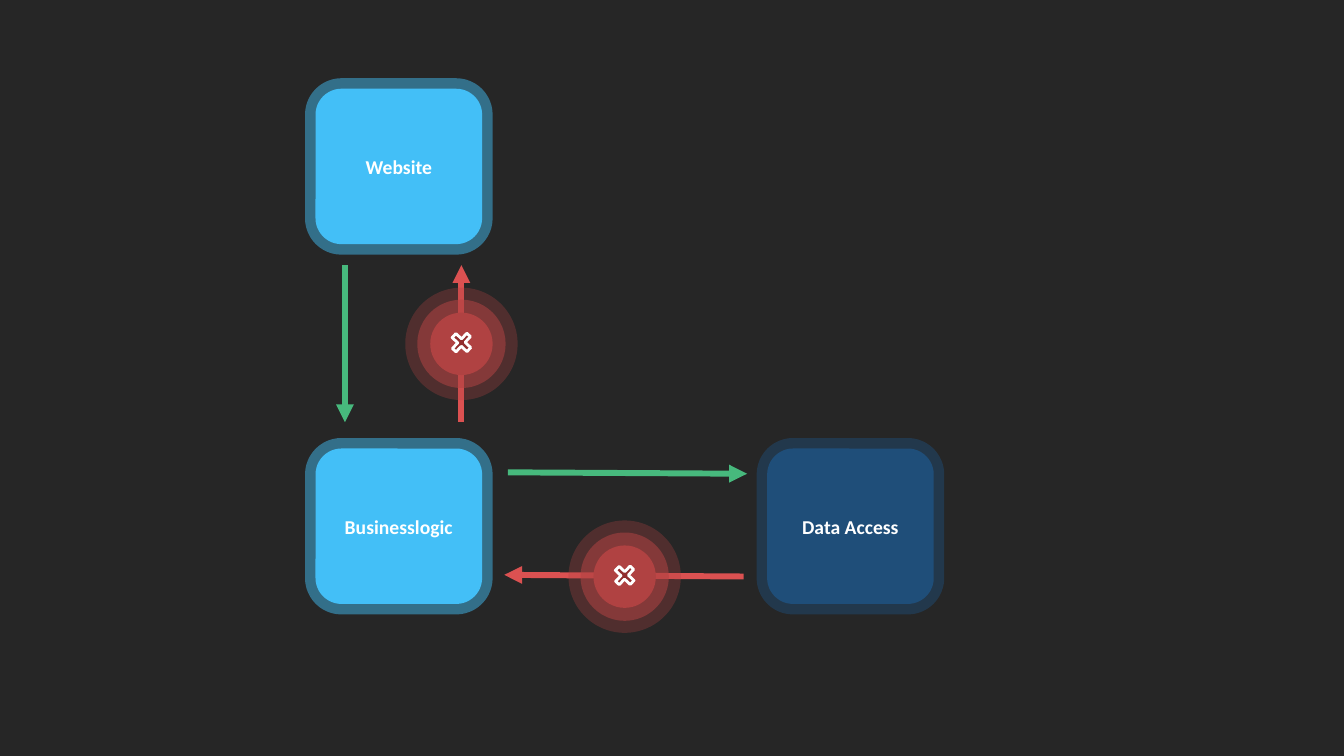
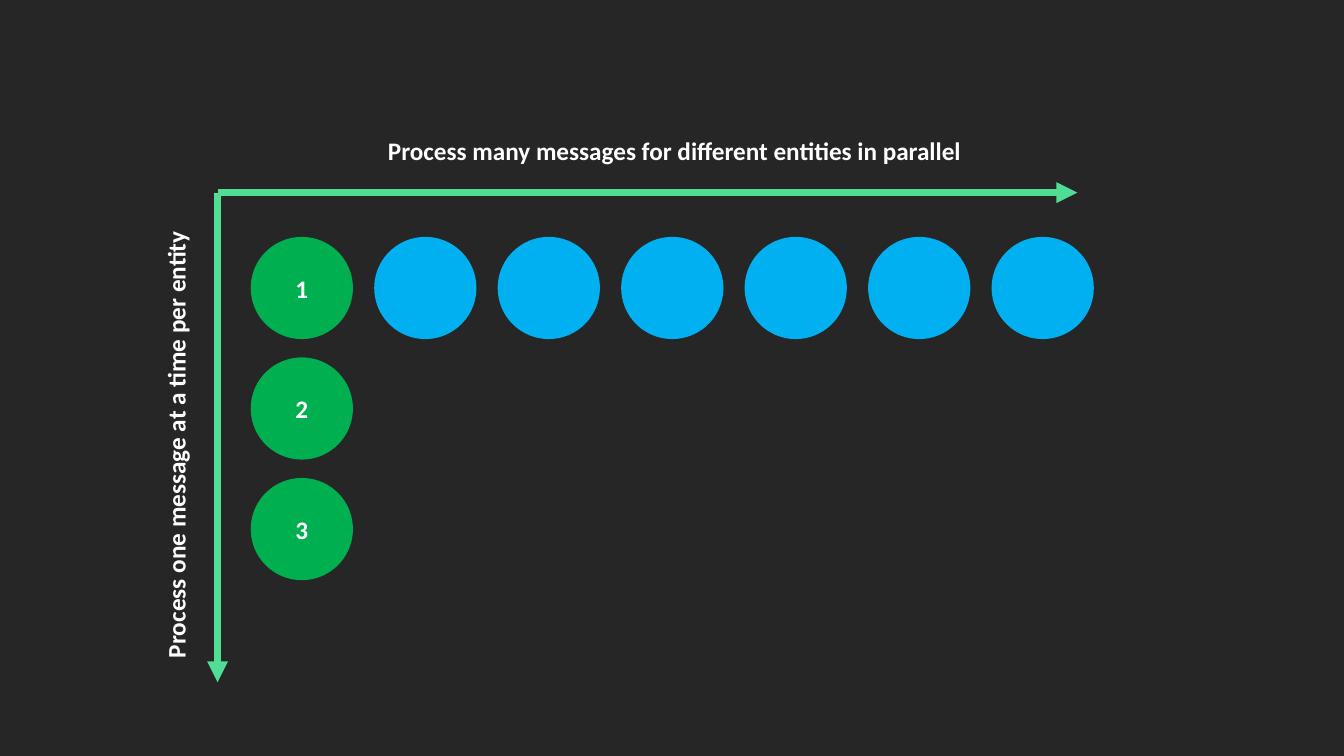
from lxml import etree
from pptx import Presentation
from pptx.dml.color import RGBColor
from pptx.enum import shapes, text
from pptx.oxml import ns
from pptx.util import Pt

COLORS = {
    "background": "262626",
    "text": "FFFFFF",
    "layer": "43BFF7",
    "data": "1F4E79",
    "allowed": "47B97D",
    "forbidden": "DB5151",
    "stop": "B04242",
    "cross": "922E2E",
    "axis": "50DE94",
    "sequential": "00B050",
    "parallel": "00B0F0",
}
FONT = "Calibri"
SHAPE = shapes.MSO_SHAPE


def color(name):
    return RGBColor.from_string(COLORS[name])


# Shared elements
def add_page(deck):
    page = deck.slides.add_slide(deck.slide_layouts[6])
    page.background.fill.solid()
    page.background.fill.fore_color.rgb = color("background")
    return page


def set_line(shape, name, width, opacity=100):
    shape.line.color.rgb = color(name)
    shape.line.width = Pt(width)
    if opacity < 100:
        tone = shape.element.spPr.find(ns.qn("a:ln")).find(".//" + ns.qn("a:srgbClr"))
        etree.SubElement(tone, ns.qn("a:alpha"), val=str(opacity * 1000))


def add_figure(parent, kind, left, top, width, height, fill=None):
    figure = parent.shapes.add_shape(kind, Pt(left), Pt(top), Pt(width), Pt(height))
    figure.shadow.inherit = False
    figure.line.fill.background()
    if fill:
        figure.fill.solid()
        figure.fill.fore_color.rgb = color(fill)
    else:
        figure.fill.background()
    return figure


def write(shape, wording, size, align=text.PP_ALIGN.CENTER):
    frame = shape.text_frame
    frame.vertical_anchor = text.MSO_ANCHOR.MIDDLE
    para = frame.paragraphs[0]
    para.text = wording
    para.alignment = align
    para.font.name = FONT
    para.font.size = Pt(size)
    para.font.bold = True
    para.font.color.rgb = color("text")


def add_arrow(page, start, end, name, width):
    arrow = page.shapes.add_connector(
        shapes.MSO_CONNECTOR.STRAIGHT, *(Pt(value) for value in (*start, *end)))
    set_line(arrow, name, width)
    properties = arrow.element.spPr
    etree.SubElement(properties.find(ns.qn("a:ln")), ns.qn("a:tailEnd"), type="triangle")
    etree.SubElement(properties, ns.qn("a:effectLst"))


# Layer diagram
def add_layer(page, left, top, label, fill, opacity):
    box = add_figure(page, SHAPE.ROUNDED_RECTANGLE, left, top, 119, 111, fill)
    set_line(box, fill, 15, opacity)
    write(box, label, 14)


def add_stop_sign(page, center_x, center_y):
    sign = page.shapes.add_group_shape()
    size = 44.6
    left, top = center_x - size / 2, center_y - size / 2
    for fill, width, opacity in (("stop", 18.5, 54), (None, 35.75, 31)):
        ring = add_figure(sign, SHAPE.OVAL, left, top, size, size, fill)
        set_line(ring, "stop", width, opacity)
    cross = add_figure(sign, SHAPE.CROSS, center_x - 7.5, center_y - 8.2, 15, 14.6, "cross")
    cross.adjustments[0] = 0.379
    cross.rotation = 313.5
    set_line(cross, "text", 2)


def build_layers(deck):
    page = add_page(deck)
    left, right, upper, lower = 225.4, 548, 63.4, 320.4
    add_layer(page, right, lower, "Data Access", "data", 46)
    add_layer(page, left, upper, "Website", "layer", 48)
    add_layer(page, left, lower, "Businesslogic", "layer", 48)
    for start, end, name in (
        ((329.6, 301.6), (329.6, 189.4), "forbidden"),
        ((246.4, 189.4), (246.4, 301.6), "allowed"),
        ((362.8, 337.4), (533.6, 338.4), "allowed"),
        ((531.2, 411.8), (360.2, 410.6), "forbidden"),
    ):
        add_arrow(page, start, end, name, 4.25)
    add_stop_sign(page, 329.6, 245.6)
    add_stop_sign(page, 446.2, 411.9)


# Message grid
def add_message(page, column, row, fill, number=None):
    circle = add_figure(page, SHAPE.OVAL, 179.1 + column * 88.2,
                        169.2 + row * 86.1, 73, 73, fill)
    if number:
        write(circle, str(number), 18)


def add_caption(page, wording, left, top, width, rotation=0):
    box = page.shapes.add_textbox(Pt(left), Pt(top), Pt(width), Pt(29))
    box.rotation = rotation
    write(box, wording, 18, text.PP_ALIGN.LEFT)
    box.text_frame.vertical_anchor = text.MSO_ANCHOR.TOP
    box.text_frame.word_wrap = False
    box.text_frame.auto_size = text.MSO_AUTO_SIZE.SHAPE_TO_FIT_TEXT


def build_messages(deck):
    page = add_page(deck)
    for row in range(3):
        add_message(page, 0, row, "sequential", row + 1)
    for column in range(1, 7):
        add_message(page, column, 0, "parallel")
    corner = (155.4, 137.6)
    add_arrow(page, corner, (769.6, corner[1]), "axis", 5)
    add_arrow(page, corner, (corner[0], 487.4), "axis", 5)
    add_caption(page, "Process many messages for different entities in parallel",
                270, 93, 427.7)
    add_caption(page, "Process one message at a time per entity",
                -35.3, 301.7, 321.8, 270)


def main():
    deck = Presentation()
    deck.slide_width, deck.slide_height = Pt(960), Pt(540)
    build_layers(deck)
    build_messages(deck)
    deck.save("out.pptx")


if __name__ == "__main__":
    main()
